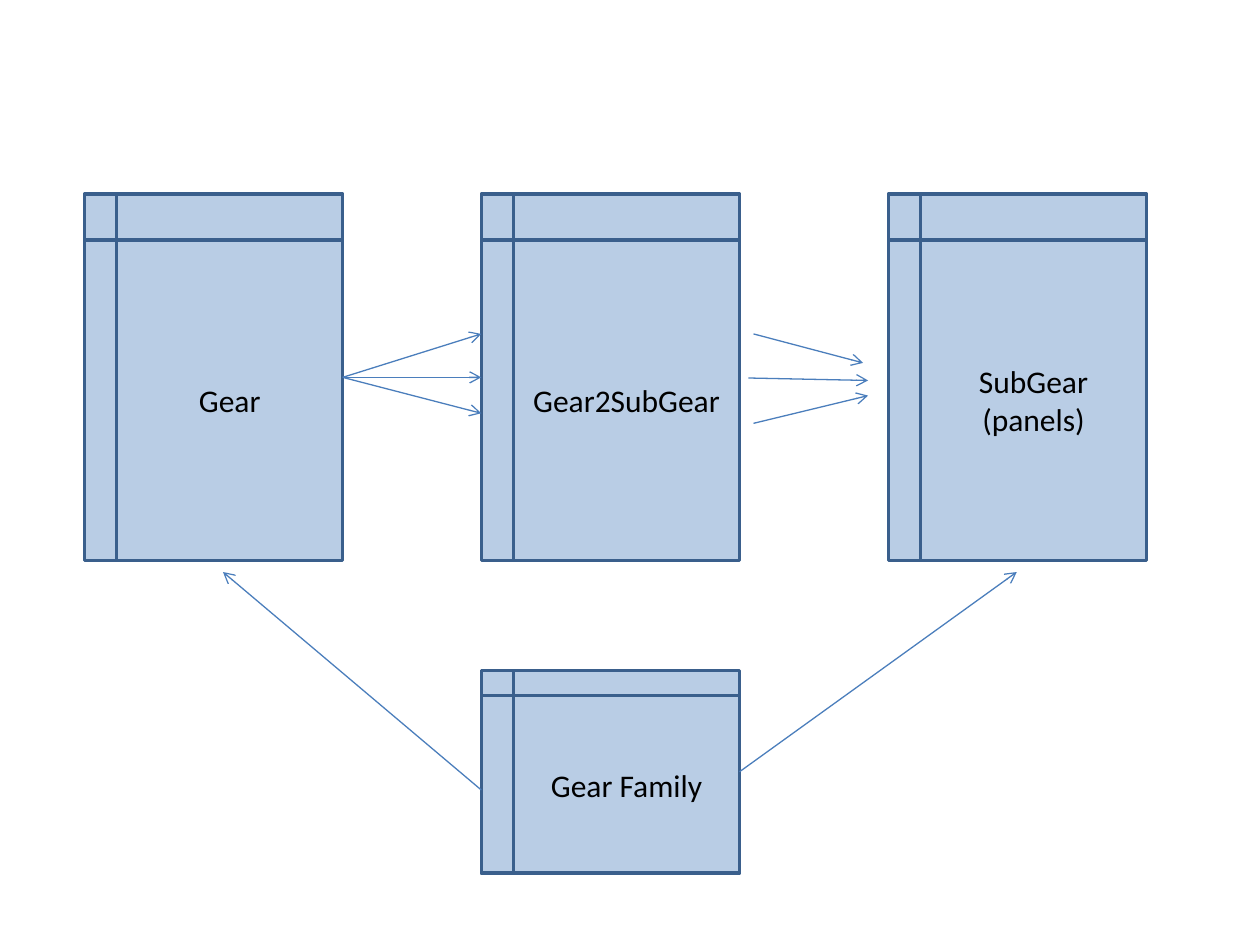
from lxml import etree
from pptx import Presentation
from pptx.dml.color import RGBColor
from pptx.enum import shapes, text
from pptx.oxml.ns import qn
from pptx.util import Pt

FILL = RGBColor(0xB9, 0xCD, 0xE5)
OUTLINE = RGBColor(0x3A, 0x5F, 0x8C)
ARROW = RGBColor(0x4B, 0x7E, 0xBC)
BLACK = RGBColor(0, 0, 0)

LEFT, MIDDLE, RIGHT = 48.24, 275.04, 507.6
WIDTH = 147.6
TOP_ROW = (110.88, 209.52)  # top, height
FAMILY_ROW = (383.04, 115.92)
LEFT_SIDE, RIGHT_SIDE = 1, 3

TABLES = {
    "Gear": (LEFT, TOP_ROW, ["Gear"]),
    "SubGear": (RIGHT, TOP_ROW, ["SubGear", "(panels)"]),
    "Gear2SubGear": (MIDDLE, TOP_ROW, ["Gear2SubGear"]),
    "Gear Family": (MIDDLE, FAMILY_ROW, ["Gear Family"]),
}

# Each end is either a point or a (table, side) pair.
GEAR_OUT = ("Gear", RIGHT_SIDE)
ARROWS = [
    (GEAR_OUT, (MIDDLE, 190.8)),
    (GEAR_OUT, ("Gear2SubGear", LEFT_SIDE)),
    (GEAR_OUT, (MIDDLE, 236.16)),
    ((430.56, 190.8), (493.2, 207.36)),
    ((427.68, 216), (496.08, 217.44)),
    ((430.56, 241.92), (496.08, 226.08)),
    ((MIDDLE, 451.44), (127.44, 326.88)),
    (("Gear Family", RIGHT_SIDE), (581.04, 326.88)),
]


def add_table_box(s, left, row, lines):
    top, height = row
    sp = s.shapes.add_shape(shapes.MSO_SHAPE.FLOWCHART_INTERNAL_STORAGE,
                            Pt(left), Pt(top), Pt(WIDTH), Pt(height))
    sp.shadow.inherit = False
    sp.fill.solid()
    sp.fill.fore_color.rgb = FILL
    sp.line.color.rgb = OUTLINE
    sp.line.width = Pt(2)
    tf = sp.text_frame
    tf.word_wrap = True
    tf.vertical_anchor = text.MSO_ANCHOR.MIDDLE
    tf.text = "\n".join(lines)
    for p in tf.paragraphs:
        p.alignment = text.PP_ALIGN.CENTER
        font = p.runs[0].font
        for name, value in {"name": "Calibri", "size": Pt(18)}.items():
            setattr(font, name, value)
        font.color.rgb = BLACK
    return sp


def add_arrow(s, boxes, start, end):
    def point(spot):
        if spot[0] not in boxes:
            return Pt(spot[0]), Pt(spot[1])
        box = boxes[spot[0]]
        x = box.left + (box.width if spot[1] == RIGHT_SIDE else 0)
        return x, box.top + box.height // 2

    line = s.shapes.add_connector(shapes.MSO_CONNECTOR.STRAIGHT,
                                  *point(start), *point(end))
    line.line.color.rgb = ARROW
    line.line.width = Pt(0.75)
    etree.SubElement(line.line._get_or_add_ln(), qn("a:tailEnd"), type="arrow")
    etree.SubElement(line._element.spPr, qn("a:effectLst"))
    for spot, connect in ((start, line.begin_connect), (end, line.end_connect)):
        if spot[0] in boxes:
            connect(boxes[spot[0]], spot[1])


def main():
    prs = Presentation()
    prs.slide_width, prs.slide_height = Pt(720), Pt(540)
    s = prs.slides.add_slide(prs.slide_layouts[6])
    boxes = {name: add_table_box(s, *table) for name, table in TABLES.items()}
    for start, end in ARROWS:
        add_arrow(s, boxes, start, end)
    prs.save("out.pptx")


if __name__ == "__main__":
    main()
